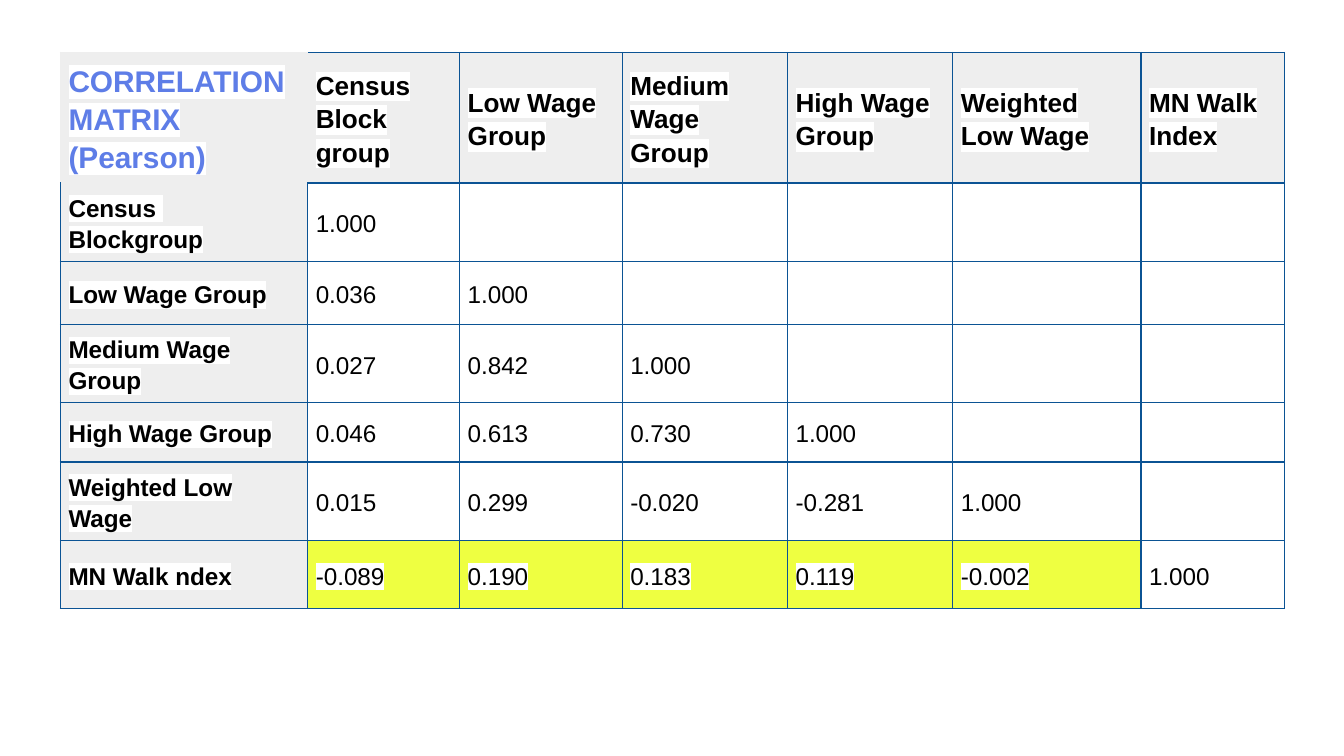
from lxml import etree
from pptx import Presentation
from pptx.dml.color import RGBColor as RGB
from pptx.enum.text import MSO_ANCHOR as Anchor
from pptx.oxml.ns import qn
from pptx.util import Inches, Pt

# Content
TITLE = "CORRELATION MATRIX (Pearson)"
COLUMN_LABELS = ["Census Block group", "Low Wage Group", "Medium Wage Group",
                 "High Wage Group", "Weighted Low Wage", "MN Walk Index"]
CORRELATIONS = [
    ("Census  Blockgroup", ["1.000"]),
    ("Low Wage Group", ["0.036", "1.000"]),
    ("Medium Wage Group", ["0.027", "0.842", "1.000"]),
    ("High Wage Group", ["0.046", "0.613", "0.730", "1.000"]),
    ("Weighted Low Wage", ["0.015", "0.299", "-0.020", "-0.281", "1.000"]),
    ("MN Walk ndex", ["-0.089", "0.190", "0.183", "0.119", "-0.002", "1.000"]),
]

# Format
COLORS = {"title": "5E7DE7", "text": "000000", "label": "EEEEEE",
          "plain": "FFFFFF", "walk": "EEFF41", "border": "0B5394"}
LEFT, TOP = 0.45, 0.39
COLUMN_WIDTHS = [1.84, 1.13, 1.21, 1.23, 1.23, 1.4, 1.07]
ROW_HEIGHTS = [0.81, 0.55, 0.47, 0.39, 0.44, 0.3, 0.51]
CELL_FORMAT = {"vertical_anchor": Anchor.MIDDLE,
               **{f"margin_{side}": Inches(0.06)
                  for side in ("left", "right", "top", "bottom")}}
PARAGRAPH_FORMAT = {"line_spacing": 1.15, "space_before": Pt(9)}
TITLE_FONT = {"size": Pt(16), "bold": True}
HEADER_FONT = {"size": Pt(14), "bold": True}
LABEL_FONT = {"size": Pt(13), "bold": True}
VALUE_FONT = {"size": Pt(13), "bold": False}


def apply(target, values):
    for name, value in values.items():
        setattr(target, name, value)


def add_color(parent, color):
    etree.SubElement(parent, qn("a:srgbClr"), val=COLORS[color])


def set_borders(cell, colors):
    properties = cell._tc.get_or_add_tcPr()
    for position, side in enumerate("LRTB"):
        line = etree.Element(qn(f"a:ln{side}"), w=str(Pt(0.75)))
        add_color(etree.SubElement(line, qn("a:solidFill")), colors[side])
        properties.insert(position, line)


def write(cell, text, font, color, highlighted):
    paragraph = cell.text_frame.paragraphs[0]
    apply(paragraph, PARAGRAPH_FORMAT)
    run = paragraph.add_run()
    run.text = text
    apply(run.font, {"name": "Arial", **font})
    run.font.color.rgb = RGB.from_string(COLORS[color])
    if highlighted:
        highlight = etree.Element(qn("a:highlight"))
        add_color(highlight, "plain")
        run._r.rPr.find(qn("a:solidFill")).addnext(highlight)


def font_for(row, column):
    if row == column == 0:
        return TITLE_FONT
    if row == 0:
        return HEADER_FONT
    return LABEL_FONT if column == 0 else VALUE_FONT


def border_colors(row, column):
    colors = dict.fromkeys("LRTB", "border")
    if row == column == 0:
        colors = dict.fromkeys("LRTB", "label")
    elif (row, column) == (0, 1):
        colors["L"] = "label"
    elif (row, column) == (1, 0):
        colors["T"] = "label"
    return colors


# Widescreen slide, 16 to 9
prs = Presentation()
prs.slide_width = Inches(10)
prs.slide_height = Inches(10) * 9 // 16
slide = prs.slides.add_slide(prs.slide_layouts[6])

# Correlation table
grid = [[TITLE, *COLUMN_LABELS]] + [[label, *values] for label, values in CORRELATIONS]
last_row, last_column = len(ROW_HEIGHTS) - 1, len(COLUMN_WIDTHS) - 1
matrix = slide.shapes.add_table(
    len(ROW_HEIGHTS), len(COLUMN_WIDTHS), Inches(LEFT), Inches(TOP),
    Inches(sum(COLUMN_WIDTHS)), Inches(sum(ROW_HEIGHTS))).table
apply(matrix, {"first_row": False, "horz_banding": False})
for column, width in zip(matrix.columns, COLUMN_WIDTHS):
    column.width = Inches(width)
for row, height in zip(matrix.rows, ROW_HEIGHTS):
    row.height = Inches(height)

# Cells: grey labels, yellow walk index row, white values
for r in range(last_row + 1):
    for c in range(last_column + 1):
        cell = matrix.cell(r, c)
        apply(cell, CELL_FORMAT)
        is_label = r == 0 or c == 0
        is_walk = r == last_row and 0 < c < last_column
        fill = "label" if is_label else "walk" if is_walk else "plain"
        cell.fill.solid()
        cell.fill.fore_color.rgb = RGB.from_string(COLORS[fill])
        set_borders(cell, border_colors(r, c))
        if c < len(grid[r]):
            color = "title" if r == c == 0 else "text"
            write(cell, grid[r][c], font_for(r, c), color, is_label or is_walk)

prs.save("out.pptx")
